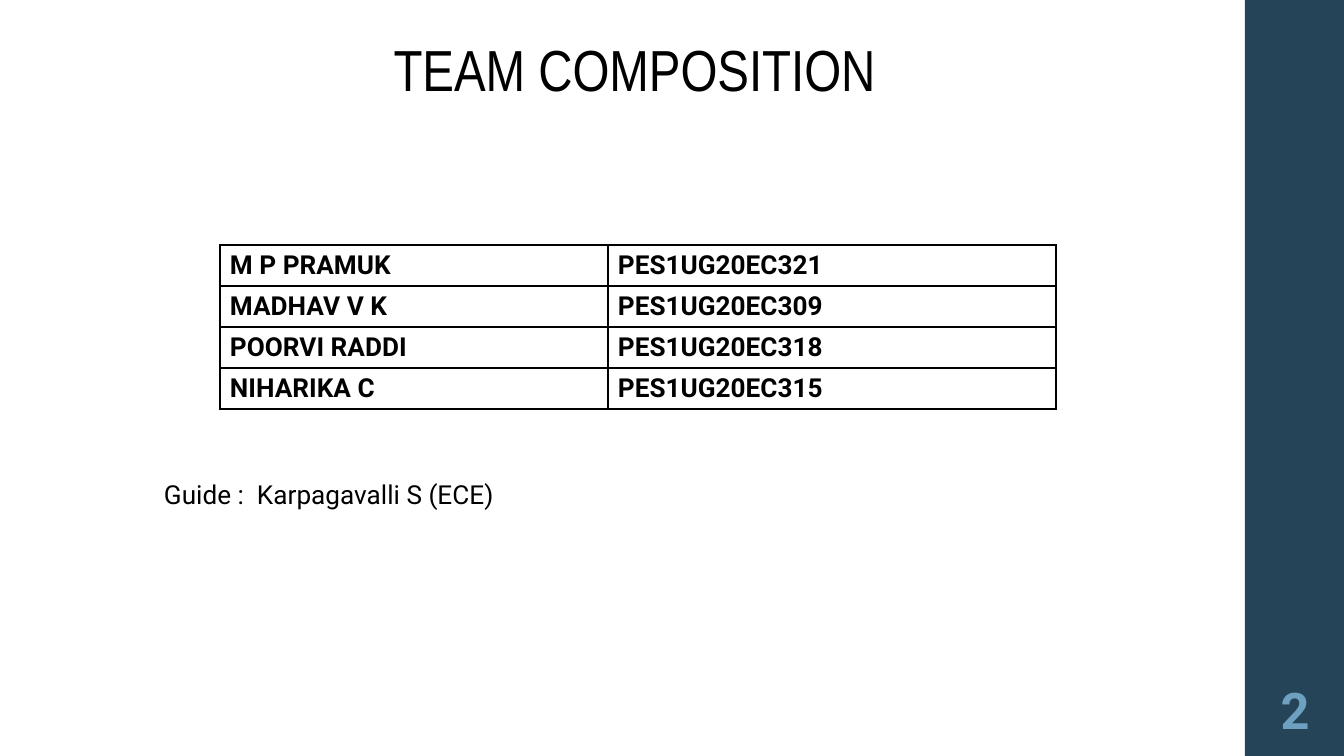
import pptx
import pptx.dml.color
import pptx.enum.shapes
import pptx.enum.text
import pptx.oxml
import pptx.oxml.ns
import pptx.util

COLORS = {"ink": "000000", "paper": "FFFFFF", "band": "264457", "number": "6EA0C0"}
PX = 914400 / 134.4
ALIGN = pptx.enum.text.PP_ALIGN
ANCHOR = pptx.enum.text.MSO_ANCHOR

MEMBERS = [
    ("M P PRAMUK", "PES1UG20EC321"),
    ("MADHAV V K", "PES1UG20EC309"),
    ("POORVI RADDI", "PES1UG20EC318"),
    ("NIHARIKA C", "PES1UG20EC315"),
]


def emu(px):
    return pptx.util.Emu(round(px * PX))


def rgb(name):
    return pptx.dml.color.RGBColor.from_string(COLORS[name])


class SlideBuilder:
    body_font = "Roboto"
    title_font = "Arial Narrow"

    def __init__(self, deck):
        self.slide = deck.slides.add_slide(deck.slide_layouts[5])
        fill = self.slide.background.fill
        fill.solid()
        fill.fore_color.rgb = rgb("paper")

    def add_span(self, frame, text, size, font=body_font, color="ink", bold=False,
                 align=ALIGN.LEFT, spacing=1.0):
        para = frame.paragraphs[0]
        para.alignment = align
        para.line_spacing = spacing
        span = para.add_run()
        span.text = text
        span.font.size = pptx.util.Pt(size)
        span.font.name = font
        span.font.bold = bold
        span.font.color.rgb = rgb(color)

    def frame(self, shape, anchor, side):
        frame = shape.text_frame
        frame.word_wrap = True
        frame.auto_size = pptx.enum.text.MSO_AUTO_SIZE.NONE
        frame.vertical_anchor = anchor
        frame.margin_left = frame.margin_right = emu(side)
        frame.margin_top = frame.margin_bottom = emu(5)
        return frame

    def band(self, left, top, width, height):
        band = self.slide.shapes.add_shape(
            pptx.enum.shapes.MSO_SHAPE.RECTANGLE,
            emu(left), emu(top), emu(width), emu(height))
        band.shadow.inherit = False
        band.fill.solid()
        band.fill.fore_color.rgb = rgb("band")
        band.line.fill.background()

    def title(self, text, left, top, width, height):
        title = self.slide.shapes.title
        title.left, title.top = emu(left), emu(top)
        title.width, title.height = emu(width), emu(height)
        self.add_span(self.frame(title, ANCHOR.BOTTOM, 9), text, 31,
                      font=self.title_font, align=ALIGN.CENTER, spacing=0.9)

    def text(self, text, left, top, width, height, size, anchor=ANCHOR.TOP, side=9, **style):
        box = self.slide.shapes.add_textbox(emu(left), emu(top), emu(width), emu(height))
        self.add_span(self.frame(box, anchor, side), text, size, **style)

    def border(self, cell):
        properties = cell._tc.get_or_add_tcPr()
        for index, side in enumerate(("lnL", "lnR", "lnT", "lnB")):
            properties.insert(index, pptx.oxml.parse_xml(
                f'<a:{side} {pptx.oxml.ns.nsdecls("a")} w="12700"><a:solidFill>'
                f'<a:srgbClr val="{COLORS["ink"]}"/></a:solidFill></a:{side}>'))

    def table(self, rows, left, top, widths, row_height):
        table = self.slide.shapes.add_table(
            len(rows), len(widths), emu(left), emu(top),
            emu(sum(widths)), emu(row_height * len(rows))).table
        table.first_row = table.horz_banding = False
        for column, width in zip(table.columns, widths):
            column.width = emu(width)
        for row, values in zip(table.rows, rows):
            row.height = emu(row_height)
            for cell, value in zip(row.cells, values):
                cell.fill.background()
                cell.margin_left = cell.margin_right = emu(10)
                cell.margin_top = cell.margin_bottom = emu(5)
                self.border(cell)
                self.add_span(cell.text_frame, value, 14, bold=True)


def main():
    deck = pptx.Presentation()
    deck.slide_width, deck.slide_height = emu(1344), emu(756)
    page = SlideBuilder(deck)
    page.band(1245, 0, 99, 756)
    page.title("TEAM COMPOSITION", 137, 35, 995, 74)
    page.table(MEMBERS, 220, 245, (388, 448), 41)
    page.text("Guide :  Karpagavalli S (ECE)", 155, 473, 399, 42, 14)
    page.text("2", 1245, 680, 100, 66, 27, anchor=ANCHOR.MIDDLE, side=5,
              color="number", bold=True, align=ALIGN.CENTER, spacing=0.9)
    deck.save("out.pptx")


if __name__ == "__main__":
    main()
